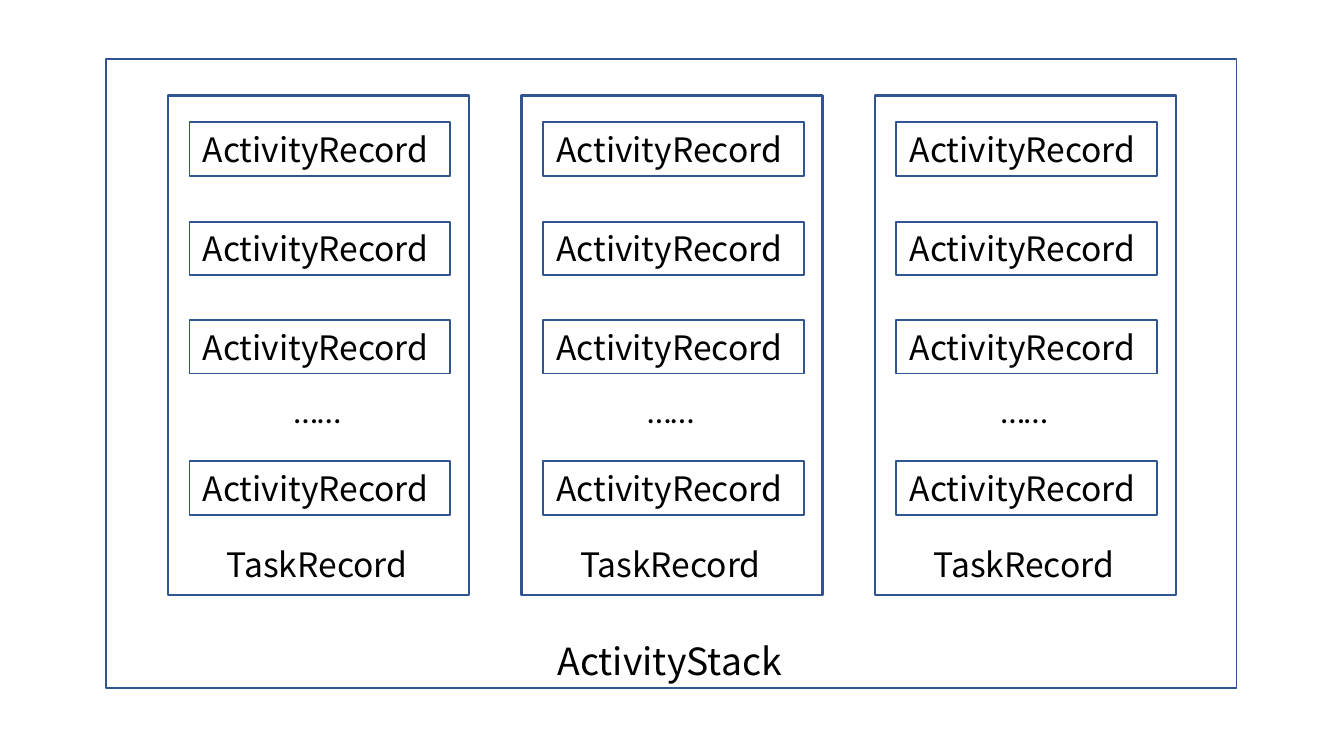
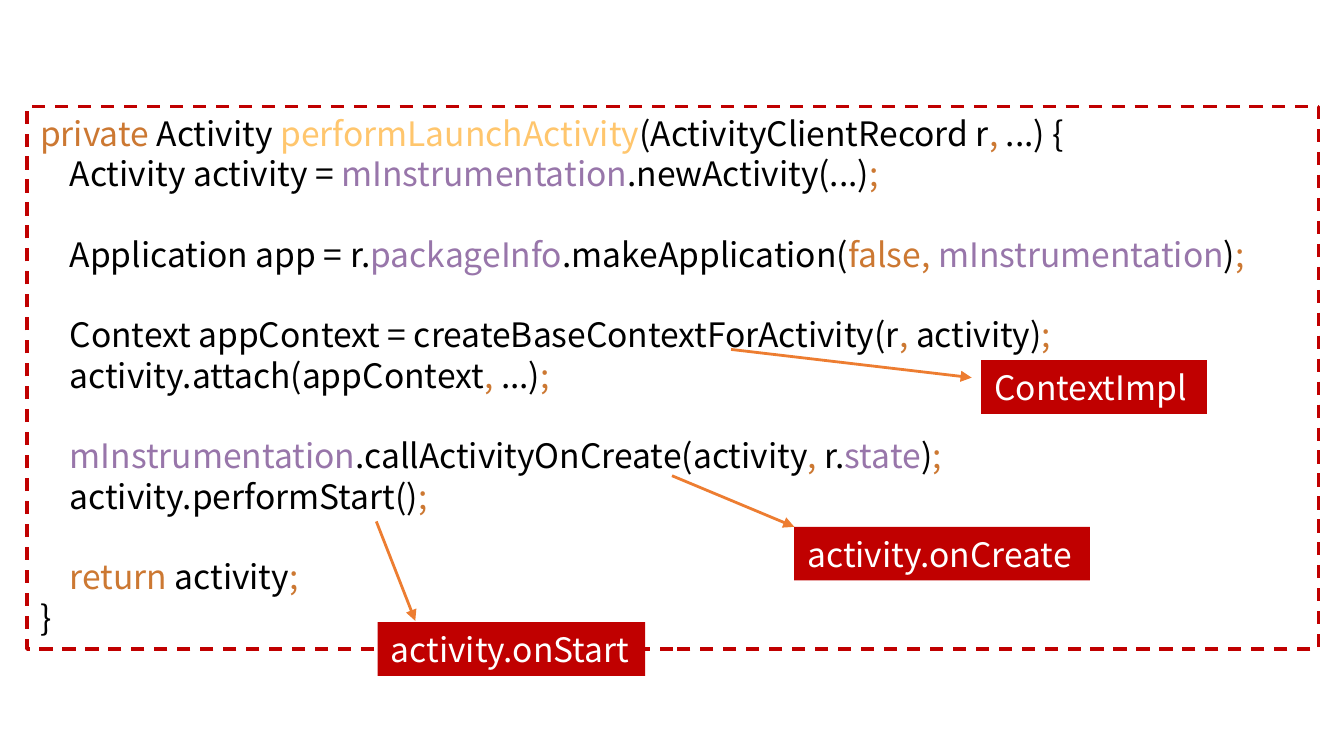
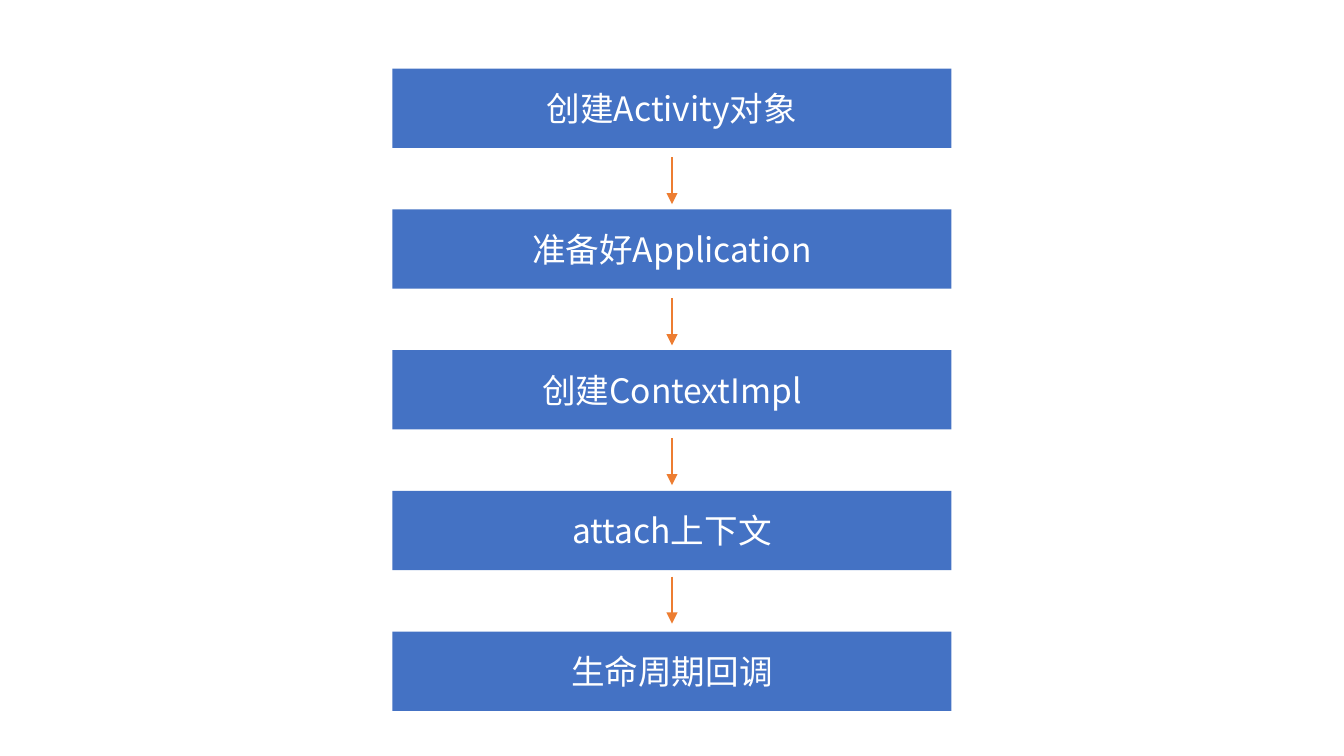
import pptx
import pptx.dml.color
import pptx.enum.dml
import pptx.enum.shapes
import pptx.enum.text
import pptx.oxml
import pptx.oxml.ns
import pptx.util

Inches = pptx.util.Inches
Align = pptx.enum.text.PP_ALIGN
Anchor = pptx.enum.text.MSO_ANCHOR

FONT = "Noto Sans CJK SC"
BLACK, WHITE = "000000", "FFFFFF"
OUTLINE, STEP_BLUE = "325491", "4472C4"
RED, ORANGE = "C00000", "ED7D31"
# Syntax colours of the code listing
KEYWORD, METHOD, FIELD = "CC7832", "FFC66D", "9876AA"

RECORD_TOPS = [0.2, 0.94, 1.67, 2.72]
STEPS = ["创建Activity对象", "准备好Application", "创建ContextImpl",
         "attach上下文", "生命周期回调"]
STEP_ARROW_TOPS = [1.17, 2.22, 3.26, 4.29]

END = (";", KEYWORD)
COMMA = (", ", KEYWORD)
# Each line: gap before it, indent level, coloured spans
CODE = [
    (False, 0, [("private ", KEYWORD), ("Activity ", BLACK),
                ("performLaunchActivity", METHOD),
                ("(ActivityClientRecord r", BLACK), COMMA, ("...) {", BLACK)]),
    (False, 1, [("Activity activity = ", BLACK), ("mInstrumentation", FIELD),
                (".newActivity(...)", BLACK), END]),
    (True, 1, [("Application app = r.", BLACK), ("packageInfo", FIELD),
               (".makeApplication(", BLACK), ("false, ", KEYWORD),
               ("mInstrumentation", FIELD), (")", BLACK), END]),
    (True, 1, [("Context appContext = createBaseContextForActivity(r", BLACK),
               COMMA, ("activity)", BLACK), END]),
    (False, 1, [("activity.attach(appContext", BLACK), COMMA,
                ("...)", BLACK), END]),
    (True, 1, [("mInstrumentation", FIELD),
               (".callActivityOnCreate(activity", BLACK), COMMA,
               ("r.", BLACK), ("state", FIELD), (")", BLACK), END]),
    (False, 1, [("activity.performStart()", BLACK), END]),
    (True, 1, [("return ", KEYWORD), ("activity", BLACK), END]),
    (False, 0, [("}", BLACK)]),
]

# Callouts: label, box, arrow start, arrow end
CALLOUTS = [
    ("ContextImpl", (7.3, 2.68, 1.68, 0.4), (5.44, 2.6), (7.23, 2.81)),
    ("activity.onCreate", (5.91, 3.92, 2.2, 0.4), (5, 3.54), (5.91, 3.92)),
    ("activity.onStart", (2.81, 4.63, 1.99, 0.4), (2.8, 3.88), (3.09, 4.62)),
]


def color(value):
    return pptx.dml.color.RGBColor.from_string(value)


def add_rect(shapes, box, fill=None, line=None, width=1):
    rect = shapes.add_shape(pptx.enum.shapes.MSO_SHAPE.RECTANGLE,
                            *map(Inches, box))
    rect.shadow.inherit = False
    if fill:
        rect.fill.solid()
        rect.fill.fore_color.rgb = color(fill)
    else:
        rect.fill.background()
    if line:
        rect.line.color.rgb = color(line)
        rect.line.width = pptx.util.Pt(width)
    else:
        rect.line.fill.background()
    return rect


def add_spans(para, spans, size=18, font=FONT):
    para.line_spacing = pptx.util.Pt(size * 1.2)
    for text, tint in spans:
        span = para.add_run()
        span.text = text
        span.font.size = pptx.util.Pt(size)
        span.font.name = font
        span.font.color.rgb = color(tint)
        # East Asian letters take the same font
        east = pptx.oxml.parse_xml(
            f'<a:ea {pptx.oxml.ns.nsdecls("a")} typeface="{font}"/>')
        span.font._element.find(pptx.oxml.ns.qn("a:latin")).addnext(east)


def write_label(shape, text, tint=BLACK, size=18, font=FONT, anchor=Anchor.TOP):
    """One line of left-aligned text in a box that fits it."""
    frame = shape.text_frame
    frame.word_wrap = False
    frame.auto_size = pptx.enum.text.MSO_AUTO_SIZE.SHAPE_TO_FIT_TEXT
    frame.vertical_anchor = anchor
    para = frame.paragraphs[0]
    para.alignment = Align.LEFT
    add_spans(para, [(text, tint)], size, font)


def add_label(shapes, box, text, **style):
    write_label(shapes.add_textbox(*map(Inches, box)), text, **style)


def add_arrow(page, start, end):
    arrow = page.shapes.add_connector(pptx.enum.shapes.MSO_CONNECTOR.STRAIGHT,
                                      *map(Inches, start + end))
    arrow.line.color.rgb = color(ORANGE)
    arrow.line.width = pptx.util.Pt(1.5)
    names = pptx.oxml.ns.nsdecls("a")
    arrow.line._get_or_add_ln().append(
        pptx.oxml.parse_xml(f'<a:tailEnd {names} type="triangle"/>'))
    arrow._element.spPr.append(pptx.oxml.parse_xml(f"<a:effectLst {names}/>"))


def add_task(page, left, top):
    """A task column with its activity records."""
    shapes = page.shapes.add_group_shape().shapes
    add_rect(shapes, (left, top, 2.24, 3.72), line=OUTLINE, width=1.2)
    for offset in RECORD_TOPS:
        record = add_rect(shapes, (left + 0.16, top + offset, 1.94, 0.4),
                          line=OUTLINE)
        write_label(record, "ActivityRecord")
    add_label(shapes, (left + 0.84, top + 2.14, 0.56, 0.4), "……",
              font="Calibri", anchor=Anchor.MIDDLE)
    add_label(shapes, (left + 0.34, top + 3.29, 1.56, 0.4), "TaskRecord")


def build_stack(page):
    left, top = 0.79, 0.44
    add_rect(page.shapes, (left, top, 8.41, 4.68), line=OUTLINE)
    for column in range(3):
        add_task(page, left + 0.46 + column * 2.63, top + 0.27)
    add_label(page.shapes, (left + 3.26, top + 4.26, 1.9, 0.44),
              "ActivityStack", size=20)


def add_code(page, box):
    panel = add_rect(page.shapes, box, line=RED, width=1.75)
    panel.line.dash_style = pptx.enum.dml.MSO_LINE.DASH
    frame = panel.text_frame
    frame.word_wrap = True
    frame.vertical_anchor = Anchor.TOP
    for index, (gap, level, spans) in enumerate(CODE):
        para = frame.add_paragraph() if index else frame.paragraphs[0]
        para.alignment = Align.LEFT
        para.space_before = pptx.util.Pt(21.6 if gap else 0)
        para._p.get_or_add_pPr().set("marL", str(Inches(0.22 * level)))
        add_spans(para, spans)


def build_launch_code(page):
    add_code(page, (0.2, 0.79, 9.61, 4.04))
    for text, box, start, end in CALLOUTS:
        write_label(add_rect(page.shapes, box, fill=RED), text, WHITE)
        add_arrow(page, start, end)


def build_steps(page):
    left, top, width, height = 2.92, 0.51, 4.16, 0.59
    pitch = (4.7 - top) / (len(STEPS) - 1)
    for index, text in enumerate(STEPS):
        step = add_rect(page.shapes,
                        (left, top + index * pitch, width, height),
                        fill=STEP_BLUE)
        frame = step.text_frame
        frame.word_wrap = True
        frame.vertical_anchor = Anchor.MIDDLE
        frame.paragraphs[0].alignment = Align.CENTER
        add_spans(frame.paragraphs[0], [(text, WHITE)])
    center = left + width / 2
    for start in STEP_ARROW_TOPS:
        add_arrow(page, (center, start), (center, start + 0.35))


def main():
    deck = pptx.Presentation()
    # Widescreen, 16 to 9
    deck.slide_width = Inches(10)
    deck.slide_height = deck.slide_width * 9 // 16
    for build in (build_stack, build_launch_code, build_steps):
        build(deck.slides.add_slide(deck.slide_layouts[6]))
    deck.save("out.pptx")


if __name__ == "__main__":
    main()
